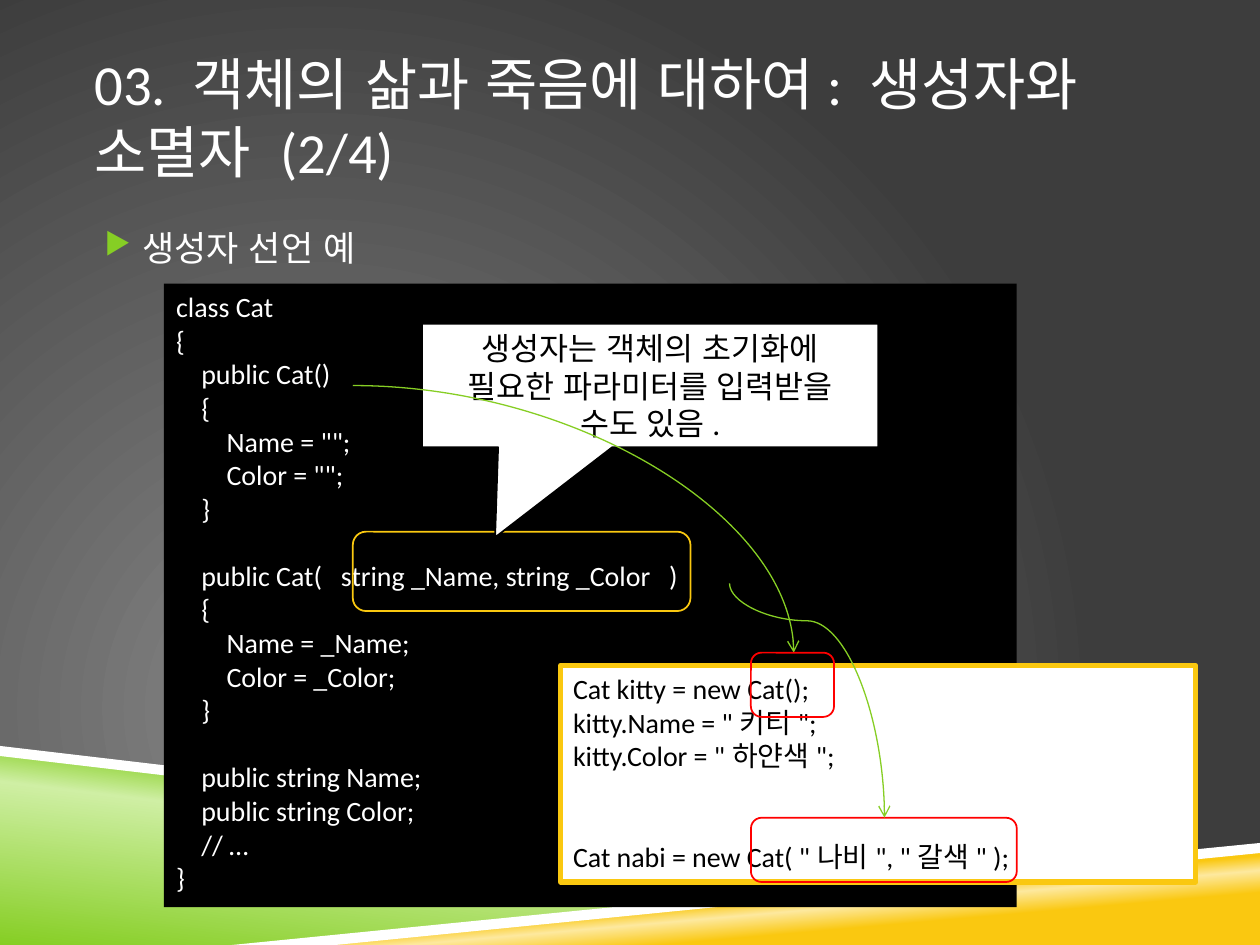
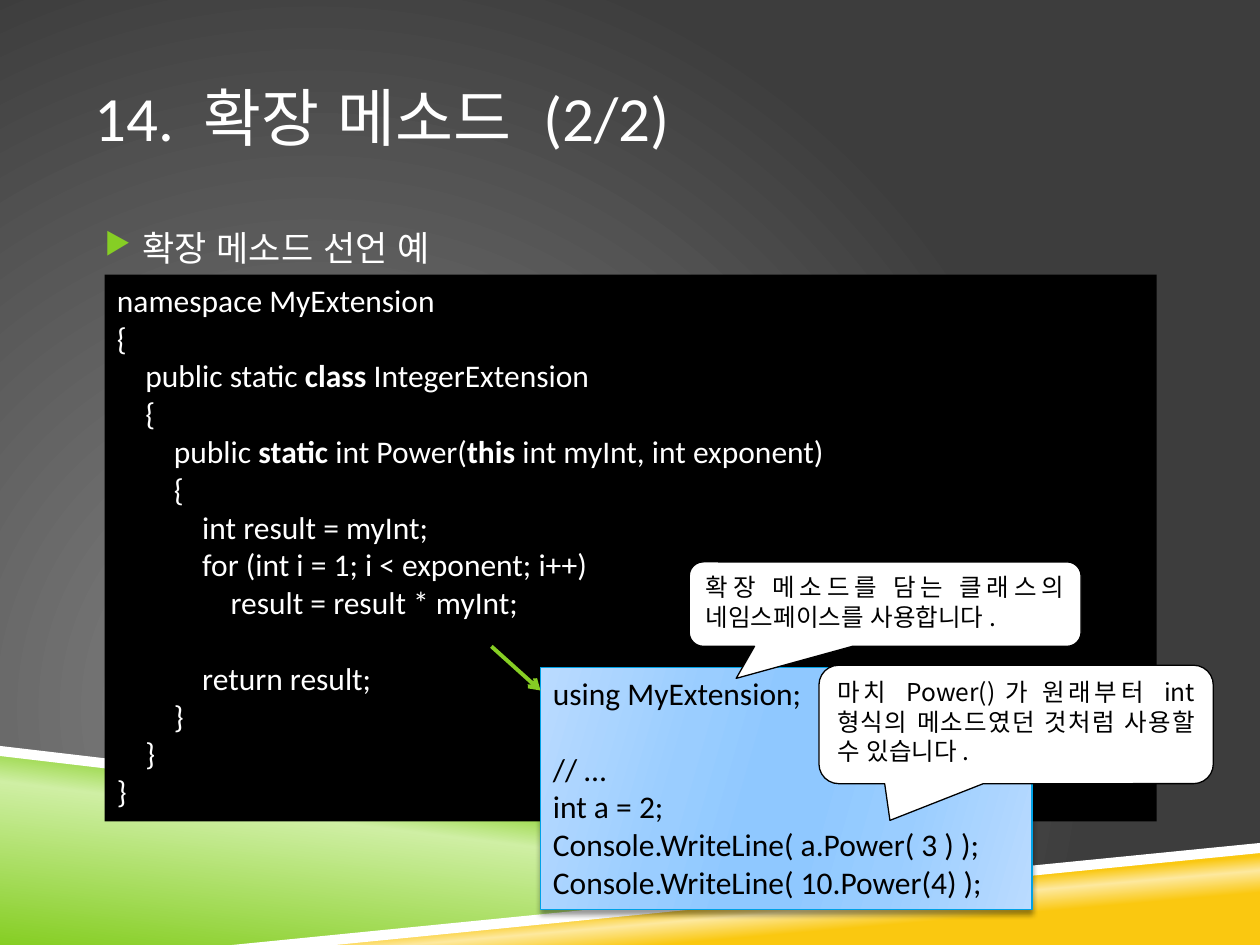
from dataclasses import dataclass
from typing import NamedTuple, Optional

from pptx import Presentation
from pptx.dml.color import RGBColor
from pptx.enum.lang import MSO_LANGUAGE_ID as Language
from pptx.enum.shapes import MSO_CONNECTOR as Connector, MSO_SHAPE as Preset
from pptx.enum.text import MSO_ANCHOR as Anchor, MSO_AUTO_SIZE as AutoSize, PP_ALIGN as Align
from pptx.oxml import parse_xml
from pptx.oxml.ns import nsdecls, qn
from pptx.util import Inches, Pt

COLORS = {
    "white": "FFFFFF", "black": "000000", "green": "86CE24", "pale_green": "CFEFA4",
    "gold": "FAC810", "pale_gold": "FDE99F", "red": "FF0000", "blue": "00A2E6",
    "sky_edge": "BADBFF", "sky_mid": "9ACDFF", "sky_core": "8FC8FF",
    "glow": "878787", "charcoal": "3D3D3D",
}
LATIN, KOREAN = "Calibri", "Noto Sans CJK KR"


class Rect(NamedTuple):
    left: float
    top: float
    width: float
    height: float

    def lengths(self):
        return [Inches(value) for value in self]


class Gradient(NamedTuple):
    stops: tuple
    angle: Optional[int] = None


class Style(NamedTuple):
    size: float
    color: str
    font: str = LATIN
    align: Optional[Align] = None


@dataclass
class Panel:
    rect: Rect
    preset: Preset = Preset.RECTANGLE
    fill: object = None
    line: Optional[str] = None
    weight: float = 1
    text: str = ""
    style: Optional[Style] = None
    anchor: Anchor = Anchor.TOP
    grow: bool = False
    adjust: tuple = ()
    shadow: bool = False


@dataclass
class Arrow:
    start: tuple
    end: tuple
    weight: float = 0.75
    geometry: str = "line"
    bend: Optional[float] = None


class Band(NamedTuple):
    points: tuple
    fill: object


BACKDROP = Gradient(((0, "glow"), (100, "charcoal")))
SKY = Gradient(((0, "sky_edge"), (30, "sky_mid"), (45, "sky_core"),
                (55, "sky_core"), (73, "sky_mid"), (100, "sky_edge")), 16)
BANDS = [
    Band(((0, 5.97), (7.92, 6.92), (2, 7.5), (0, 7.5)),
         Gradient(((0, "green"), (52, "pale_green"), (66, "green")), 277)),
    Band(((1.98, 7.5), (10, 6.72), (10, 7.5)),
         Gradient(((28, "gold"), (40, "pale_gold"), (48, "gold")), 265)),
    Band(((0, 5.92), (0, 6), (7.9, 6.93), (8.32, 6.9)), "white"),
    Band(((10, 6.69), (1.84, 7.5), (2.66, 7.5), (10, 6.77)), "white"),
]
TITLE_RECT = Rect(0.75, 0.3, 8.5, 1.25)
BODY_RECT = Rect(0.75, 1.75, 8.5, 4.52)

CAT_CLASS = """class Cat
{
    public Cat()
    {
        Name = "";
        Color = "";
    }

    public Cat(   string _Name, string _Color   )
    {
        Name = _Name;
        Color = _Color;
    }

    public string Name;
    public string Color;
    // …
}"""
CAT_USAGE = """Cat kitty = new Cat();
kitty.Name = "키티";
kitty.Color = "하얀색";


Cat nabi = new Cat( "나비", "갈색" );"""
EXTENSION_CLASS = """namespace MyExtension
{
    public static **class **IntegerExtension
    {
        public **static **int Power(**this **int myInt, int exponent)
        {
            int result = myInt;
            for (int i = 1; i < exponent; i++)
                result = result * myInt;

            return result;
        }
    }
}"""
EXTENSION_USAGE = """using MyExtension;

// …
int a = 2;
Console.WriteLine( a.Power( 3 ) );
Console.WriteLine( 10.Power(4) );"""


def rgb(name: str) -> RGBColor:
    return RGBColor.from_string(COLORS[name])


def set_gradient(element, fill, gradient: Gradient) -> None:
    fill.gradient()
    stops = "".join(
        f'<a:gs pos="{place * 1000}"><a:srgbClr val="{COLORS[name]}"/></a:gs>'
        for place, name in gradient.stops)
    if gradient.angle is None:
        direction = ('<a:path path="circle"><a:fillToRect l="50000" t="100000" '
                     'r="100000" b="50000"/></a:path>')
    else:
        direction = f'<a:lin ang="{gradient.angle * 60000}" scaled="0"/>'
    default = element.find(f".//{qn('a:gradFill')}")
    default.getparent().replace(default, parse_xml(
        f'<a:gradFill {nsdecls("a")} rotWithShape="1"><a:gsLst>{stops}</a:gsLst>'
        f'{direction}</a:gradFill>'))


def paint(shape, fill, line: Optional[str] = None, weight: float = 1) -> None:
    shape.shadow.inherit = False
    if isinstance(fill, Gradient):
        set_gradient(shape.element, shape.fill, fill)
    elif fill:
        shape.fill.solid()
        shape.fill.fore_color.rgb = rgb(fill)
    else:
        shape.fill.background()
    if line:
        shape.line.color.rgb = rgb(line)
        shape.line.width = Pt(weight)
    else:
        shape.line.fill.background()


def write(frame, text: str, style: Style) -> None:
    frame.word_wrap = True
    frame.text = text.replace("**", "")
    for para, source in zip(frame.paragraphs, text.split("\n")):
        para.alignment = style.align or Align.LEFT
        if not source:
            para._p.append(parse_xml(
                f'<a:endParaRPr {nsdecls("a")} sz="{int(style.size * 100)}"/>'))
            continue
        para.text = ""
        for index, part in enumerate(source.split("**")):
            span = para.add_run()
            span.text = part
            font = span.font
            font.size, font.name = Pt(style.size), style.font
            font.bold = index % 2 == 1
            font.color.rgb = rgb(style.color)
            font.language_id = Language.KOREAN
            font._element.find(qn("a:latin")).addnext(parse_xml(
                f'<a:ea {nsdecls("a")} typeface="{KOREAN}"/>'))


def add_band(page, band: Band) -> None:
    points = [(Inches(x), Inches(y)) for x, y in band.points]
    builder = page.shapes.build_freeform(*points[0])
    builder.add_line_segments(points[1:])
    paint(builder.convert_to_shape(), band.fill)


def add_text(page, rect: Rect, text: str, style: Style, anchor: Anchor):
    frame = page.shapes.add_textbox(*rect.lengths()).text_frame
    frame.margin_left = frame.margin_right = 0
    frame.vertical_anchor = anchor
    write(frame, text, style)
    return frame


def add_bullet(para) -> None:
    properties = para._p.get_or_add_pPr()
    properties.set("marL", str(Inches(0.38)))
    properties.set("indent", str(Inches(-0.3)))
    for tag in (f'<a:buClr {nsdecls("a")}><a:srgbClr val="{COLORS["green"]}"/></a:buClr>',
                f'<a:buSzPct {nsdecls("a")} val="85000"/>',
                f'<a:buChar {nsdecls("a")} char="▶"/>'):
        properties.append(parse_xml(tag))


def add_panel(page, panel: Panel) -> None:
    shape = page.shapes.add_shape(panel.preset, *panel.rect.lengths())
    for index, value in enumerate(panel.adjust):
        shape.adjustments[index] = value
    paint(shape, panel.fill, panel.line, panel.weight)
    if panel.shadow:
        shape.element.spPr.find(qn("a:effectLst")).append(parse_xml(
            f'<a:outerShdw {nsdecls("a")} blurRad="{Pt(3)}" dist="{Pt(2)}" dir="5400000">'
            f'<a:srgbClr val="{COLORS["black"]}"><a:alpha val="40000"/></a:srgbClr>'
            '</a:outerShdw>'))
    if panel.text:
        frame = shape.text_frame
        frame.vertical_anchor = panel.anchor
        write(frame, panel.text, panel.style)
        if panel.grow:
            frame.auto_size = AutoSize.SHAPE_TO_FIT_TEXT


def add_arrow(page, arrow: Arrow) -> None:
    (x1, y1), (x2, y2) = arrow.start, arrow.end
    turned = arrow.bend is not None
    if turned:
        middle_x, middle_y = (x1 + x2) / 2, (y1 + y2) / 2
        half_x, half_y = (y2 - y1) / 2, (x2 - x1) / 2
        x1, x2 = middle_x + half_x, middle_x - half_x
        y1, y2 = middle_y - half_y, middle_y + half_y
    line = page.shapes.add_connector(
        Connector.STRAIGHT, *[Inches(value) for value in (x1, y1, x2, y2)])
    line.line.color.rgb = rgb("green")
    line.line.width = Pt(arrow.weight)
    properties = line.element.spPr
    geometry = properties.find(qn("a:prstGeom"))
    geometry.set("prst", arrow.geometry)
    if turned:
        properties.find(qn("a:xfrm")).set("rot", str(270 * 60000))
        geometry.find(qn("a:avLst")).append(parse_xml(
            f'<a:gd {nsdecls("a")} name="adj1" fmla="val {round(arrow.bend * 100000)}"/>'))
    properties.find(qn("a:ln")).append(parse_xml(f'<a:tailEnd {nsdecls("a")} type="arrow"/>'))
    properties.append(parse_xml(f'<a:effectLst {nsdecls("a")}/>'))


def add_page(deck, title: str, title_size: float, topic: str, items: list) -> None:
    page = deck.slides.add_slide(deck.slide_layouts[6])
    set_gradient(page.element, page.background.fill, BACKDROP)
    for band in BANDS:
        add_band(page, band)
    add_text(page, TITLE_RECT, title, Style(title_size, "white"), Anchor.MIDDLE)
    body = add_text(page, BODY_RECT, topic, Style(20, "white"), Anchor.TOP)
    add_bullet(body.paragraphs[0])
    for item in items:
        if isinstance(item, Arrow):
            add_arrow(page, item)
        else:
            add_panel(page, item)


def code_panel(rect: Rect, text: str, size: float) -> Panel:
    return Panel(rect, fill="black", text=text, style=Style(size, "white"), grow=True)


def frame_panel(rect: Rect, line: str) -> Panel:
    return Panel(rect, Preset.ROUNDED_RECTANGLE, line=line)


def note_panel(rect: Rect, text: str, tip: tuple) -> Panel:
    return Panel(rect, Preset.ROUNDED_RECTANGULAR_CALLOUT, "white", "black", 0.75, text,
                 Style(14, "black", KOREAN, Align.JUSTIFY), adjust=tip)


def main() -> None:
    deck = Presentation()
    deck.slide_width, deck.slide_height = Inches(10), Inches(7.5)
    add_page(deck, "03. 객체의 삶과 죽음에 대하여: 생성자와 소멸자 (2/4)", 32.4, "생성자 선언 예", [
        code_panel(Rect(1.3, 2.25, 6.77, 4.95), CAT_CLASS, 16),
        frame_panel(Rect(2.8, 4.22, 2.68, 0.63), "gold"),
        Panel(Rect(3.35, 2.57, 3.62, 0.98), Preset.RECTANGULAR_CALLOUT, "white", "black",
              text="생성자는 객체의 초기화에 필요한 파라미터를 입력받을 수도 있음.",
              style=Style(18, "black", align=Align.CENTER), anchor=Anchor.MIDDLE,
              adjust=(-0.34, 1.23)),
        Panel(Rect(4.45, 5.28, 5.04, 1.72), fill="white", line="gold", weight=3,
              text=CAT_USAGE, style=Style(16, "black"), grow=True),
        Arrow((2.8, 3.06), (6.3, 5.18), geometry="curvedConnector2"),
        frame_panel(Rect(5.96, 5.18, 0.66, 0.51), "red"),
        frame_panel(Rect(5.96, 6.49, 2.11, 0.51), "red"),
        Arrow((5.79, 4.63), (7.02, 6.49), geometry="curvedConnector3", bend=0.16),
    ])
    add_page(deck, "14. 확장 메소드 (2/2)", 36, "확장 메소드 선언 예", [
        code_panel(Rect(0.83, 2.18, 8.35, 4.34), EXTENSION_CLASS, 18),
        Panel(Rect(4.29, 5.3, 3.9, 1.92), fill=SKY, line="blue", weight=0.75,
              text=EXTENSION_USAGE, style=Style(18, "black"), grow=True, shadow=True),
        note_panel(Rect(5.47, 4.46, 3.11, 0.67),
                   "확장 메소드를 담는 클래스의 네임스페이스를 사용합니다.", (-0.38, 0.88)),
        note_panel(Rect(6.5, 5.28, 3.13, 0.94),
                   "마치 Power()가 원래부터 int 형식의 메소드였던 것처럼 사용할 수 있습니다.",
                   (-0.32, 0.81)),
        Arrow((3.9, 5.13), (4.29, 5.48), weight=2.25),
    ])
    deck.save("out.pptx")


if __name__ == "__main__":
    main()
